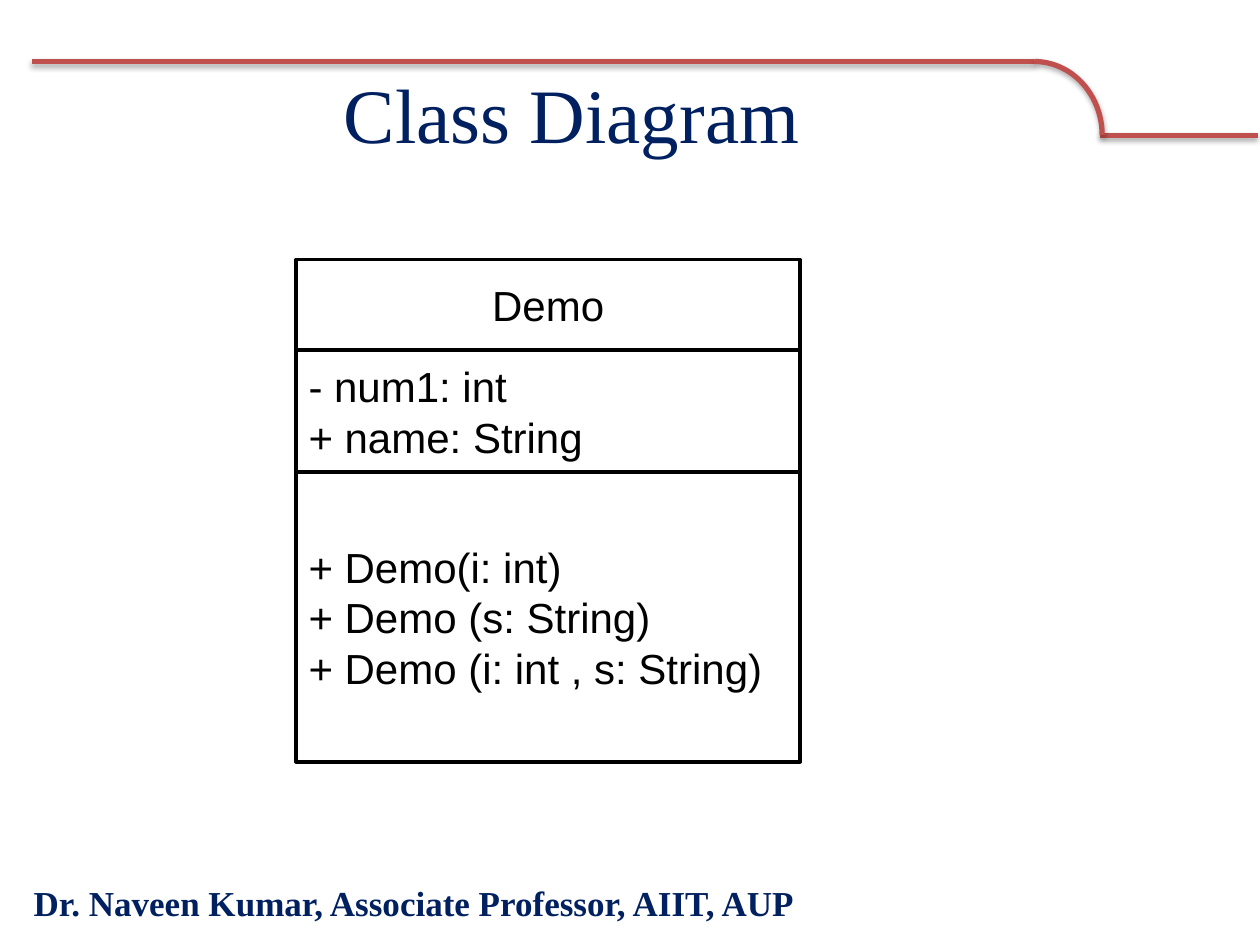
from dataclasses import dataclass

from pptx import Presentation
from pptx.dml.color import RGBColor
from pptx.enum.shapes import MSO_CONNECTOR, MSO_SHAPE
from pptx.enum.text import MSO_ANCHOR, MSO_AUTO_SIZE, PP_ALIGN
from pptx.oxml import parse_xml
from pptx.oxml.ns import nsdecls
from pptx.util import Cm, Pt

LINE = MSO_CONNECTOR.STRAIGHT
ARC, RECT = MSO_SHAPE.ARC, MSO_SHAPE.RECTANGLE
MIDDLE = MSO_ANCHOR.MIDDLE
FIXED = MSO_AUTO_SIZE.NONE
LEFT, CENTER = PP_ALIGN.LEFT, PP_ALIGN.CENTER


@dataclass(frozen=True)
class Theme:
    navy: RGBColor = RGBColor(0x00, 0x20, 0x60)
    black: RGBColor = RGBColor(0, 0, 0)
    red: RGBColor = RGBColor(0xC0, 0x50, 0x4D)
    serif: str = "Times New Roman"
    sans: str = "Arial"
    title: int = 44
    body: int = 24
    foot: int = 20


THEME = Theme()


def write(shape, lines, size, font, color, align=LEFT, bold=False):
    frame = shape.text_frame
    frame.word_wrap = True
    frame.auto_size = FIXED
    frame.vertical_anchor = MIDDLE
    frame.text = "\n".join(lines)
    for para in frame.paragraphs:
        para.alignment = align
        face = para.font
        face.size, face.name, face.bold = Pt(size), font, bold
        face.color.rgb = color


def place(shape, left, top, width, height):
    shape.left, shape.top = Cm(left), Cm(top)
    shape.width, shape.height = Cm(width), Cm(height)


def stroke(shape):
    shape.line.color.rgb = THEME.red
    shape.line.width = Pt(3)
    shape._element.spPr.append(parse_xml(
        f'<a:effectLst {nsdecls("a")}>'
        '<a:outerShdw blurRad="40000" dist="23000" dir="5400000" rotWithShape="0">'
        '<a:srgbClr val="000000"><a:alpha val="35000"/></a:srgbClr>'
        '</a:outerShdw></a:effectLst>'))


def add_rule(slide, left, top, width):
    turn, arc_w, arc_h = 20.21, 2.74, 2.97
    low = top + arc_h / 2
    start = left + turn + arc_w / 2 - 0.05
    spans = [(left, left + turn, top), (start, left + width, low)]
    for begin, end, level in spans:
        stroke(slide.shapes.add_connector(
            LINE, Cm(begin), Cm(level), Cm(end), Cm(level)))
    arc = slide.shapes.add_shape(
        ARC, Cm(left + turn - arc_w / 2), Cm(top), Cm(arc_w), Cm(arc_h))
    arc.fill.background()
    stroke(arc)


def add_title(slide, text, left, top, width, height):
    title = slide.shapes.title
    place(title, left, top, width, height)
    write(title, [text], size=THEME.title, font=THEME.serif,
          color=THEME.navy, align=CENTER)


def add_class(slide, parts, left, top, width):
    group = slide.shapes.add_group_shape()
    for lines, height, align in parts:
        box = group.shapes.add_shape(
            RECT, Cm(left), Cm(top), Cm(width), Cm(height))
        box.shadow.inherit = False
        box.fill.background()
        box.line.color.rgb = THEME.black
        box.line.width = Pt(2)
        write(box, lines, size=THEME.body, font=THEME.sans,
              color=THEME.black, align=align)
        top += height


def add_foot(slide, text, left, top, width, height):
    box = slide.shapes.add_textbox(Cm(left), Cm(top), Cm(width), Cm(height))
    write(box, [text], size=THEME.foot, font=THEME.serif,
          color=THEME.navy, bold=True)


def main():
    deck = Presentation()
    deck.slide_width, deck.slide_height = Cm(25.4), Cm(19.05)
    slide = deck.slides.add_slide(deck.slide_layouts[5])
    add_rule(slide, 0.64, 1.24, 24.71)
    add_title(slide, "Class Diagram", 1.27, 1.35, 20.52, 1.83)
    parts = [
        (["Demo"], 1.83, CENTER),
        (["- num1: int", "+ name: String"], 2.46, LEFT),
        (["+ Demo(i: int)", "+ Demo (s: String)",
          "+ Demo (i: int , s: String)"], 5.84, LEFT),
    ]
    add_class(slide, parts, 5.97, 5.23, 10.16)
    add_foot(slide, "Dr. Naveen Kumar, Associate Professor, AIIT, AUP",
             0.43, 17.53, 24.23, 1.32)
    deck.save("out.pptx")


if __name__ == "__main__":
    main()
